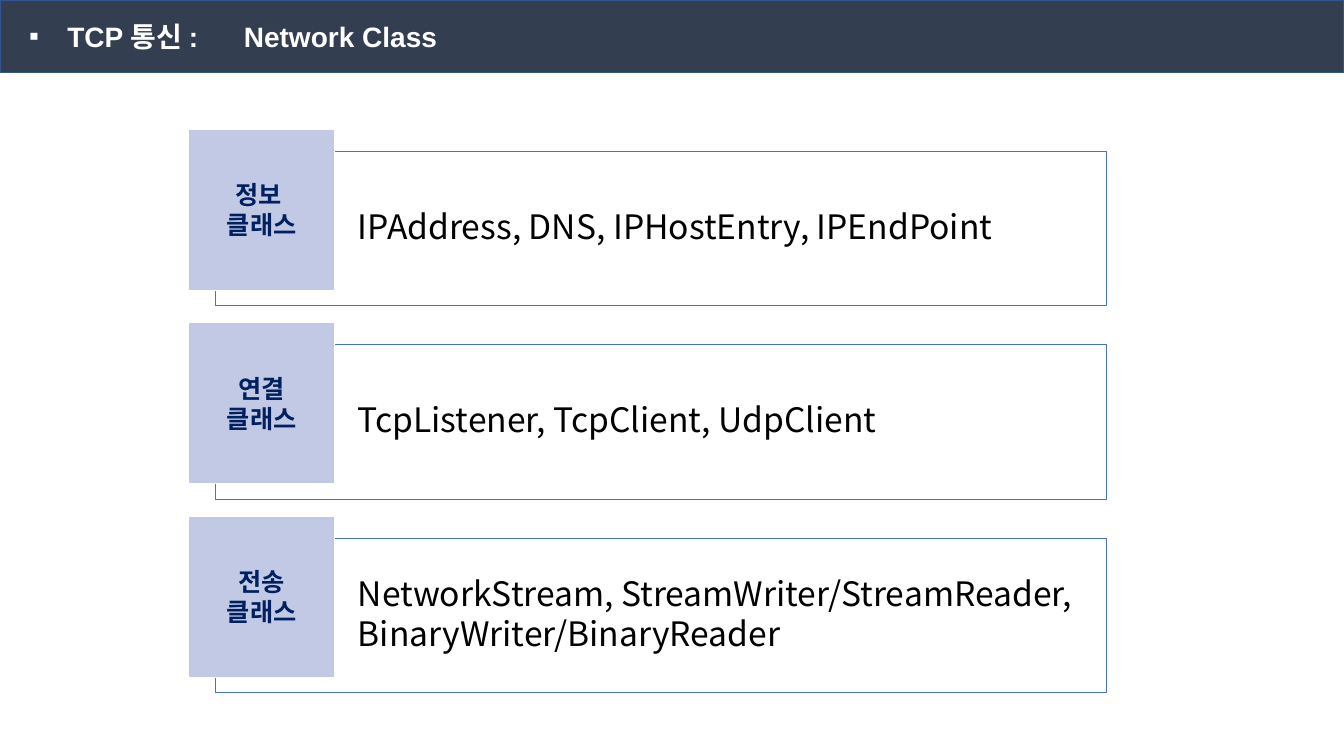
from lxml import etree
from pptx import Presentation
from pptx.dml.color import RGBColor
from pptx.enum.shapes import MSO_SHAPE
from pptx.enum.text import MSO_ANCHOR, PP_ALIGN
from pptx.oxml.ns import qn
from pptx.util import Inches, Pt

RECTANGLE = MSO_SHAPE.RECTANGLE
MIDDLE = MSO_ANCHOR.MIDDLE
LEFT, CENTER = PP_ALIGN.LEFT, PP_ALIGN.CENTER

SLATE = RGBColor(0x33, 0x3F, 0x50)
HEADER_EDGE = RGBColor(0x32, 0x54, 0x91)
BLUE = RGBColor(0x44, 0x72, 0xC4)
LAVENDER = RGBColor(0xC1, 0xC9, 0xE4)
NAVY = RGBColor(0x00, 0x20, 0x60)
WHITE = RGBColor(0xFF, 0xFF, 0xFF)
BLACK = RGBColor(0x00, 0x00, 0x00)

HEADER_FONT = "Arial"
BODY_FONT = "Noto Sans CJK KR"

SLIDE_WIDTH, SLIDE_HEIGHT = 13.33, 7.5
HEADER_HEIGHT = 0.72
ROW_TOP, ROW_PITCH = 1.28, 1.92
LABEL_LEFT, LABEL_WIDTH, LABEL_HEIGHT = 1.87, 1.45, 1.6
PANEL_LEFT, PANEL_WIDTH, PANEL_HEIGHT = 2.14, 8.83, 1.53
PANEL_DROP = 0.22

CLASS_GROUPS = [
    ("정보 \n클래스", "IPAddress, DNS, IPHostEntry, IPEndPoint"),
    ("연결\n클래스", "TcpListener, TcpClient, UdpClient"),
    ("전송\n클래스",
     "NetworkStream, StreamWriter/StreamReader,\nBinaryWriter/BinaryReader"),
]


def add_block(slide, left, top, width, height, fill, edge, edge_width):
    block = slide.shapes.add_shape(
        RECTANGLE, Inches(left), Inches(top), Inches(width), Inches(height))
    block.shadow.inherit = False
    block.fill.solid()
    block.fill.fore_color.rgb = fill
    block.line.color.rgb = edge
    block.line.width = Pt(edge_width)
    return block


def write(block, text, size, font, color, bold, align):
    frame = block.text_frame
    frame.word_wrap = True
    frame.vertical_anchor = MIDDLE
    frame.text = text
    for paragraph in frame.paragraphs:
        paragraph.alignment = align
        for run in paragraph.runs:
            run.font.size = Pt(size)
            run.font.name = font
            run.font.bold = bold
            run.font.color.rgb = color
            east_asian = etree.SubElement(run.font._element, qn("a:ea"))
            east_asian.set("typeface", BODY_FONT)
    return frame


def set_indent(paragraph, margin, first_line):
    properties = paragraph._p.get_or_add_pPr()
    properties.set("marL", str(Inches(margin)))
    properties.set("indent", str(Inches(first_line)))
    return properties


def add_header(slide):
    header = add_block(slide, 0, 0, SLIDE_WIDTH, HEADER_HEIGHT,
                       SLATE, HEADER_EDGE, 1)
    frame = write(header, "TCP 통신 :\tNetwork Class", 20, HEADER_FONT,
                  WHITE, True, LEFT)
    properties = set_indent(frame.paragraphs[0], 0.57, -0.38)
    etree.SubElement(properties, qn("a:buFont")).set("typeface", HEADER_FONT)
    etree.SubElement(properties, qn("a:buChar")).set("char", "▪")
    stops = etree.SubElement(properties, qn("a:tabLst"))
    stop = etree.SubElement(stops, qn("a:tab"))
    stop.set("pos", str(Inches(2.32)))
    stop.set("algn", "l")


def add_panel(slide, top, classes):
    panel = add_block(slide, PANEL_LEFT, top, PANEL_WIDTH, PANEL_HEIGHT,
                      WHITE, BLUE, 0.5)
    tint = panel.fill._xPr.find(qn("a:solidFill"))[0]
    etree.SubElement(tint, qn("a:alpha")).set("val", "40000")
    frame = write(panel, classes, 24, BODY_FONT, BLACK, False, LEFT)
    frame.margin_left = Inches(1.03)
    frame.margin_top = frame.margin_right = frame.margin_bottom = Inches(0.2)
    for paragraph in frame.paragraphs:
        set_indent(paragraph, 0, 0.38)
        paragraph.line_spacing = 0.9
        paragraph.space_after = Pt(3)


def add_class_group(slide, row, label, classes):
    top = ROW_TOP + row * ROW_PITCH
    add_panel(slide, top + PANEL_DROP, classes)
    tile = add_block(slide, LABEL_LEFT, top, LABEL_WIDTH, LABEL_HEIGHT,
                     LAVENDER, WHITE, 1)
    write(tile, label, 18, BODY_FONT, NAVY, True, CENTER)


def main():
    presentation = Presentation()
    presentation.slide_width = Inches(SLIDE_WIDTH)
    presentation.slide_height = Inches(SLIDE_HEIGHT)
    slide = presentation.slides.add_slide(presentation.slide_layouts[6])
    add_header(slide)
    for row, (label, classes) in enumerate(CLASS_GROUPS):
        add_class_group(slide, row, label, classes)
    presentation.save("out.pptx")


if __name__ == "__main__":
    main()
